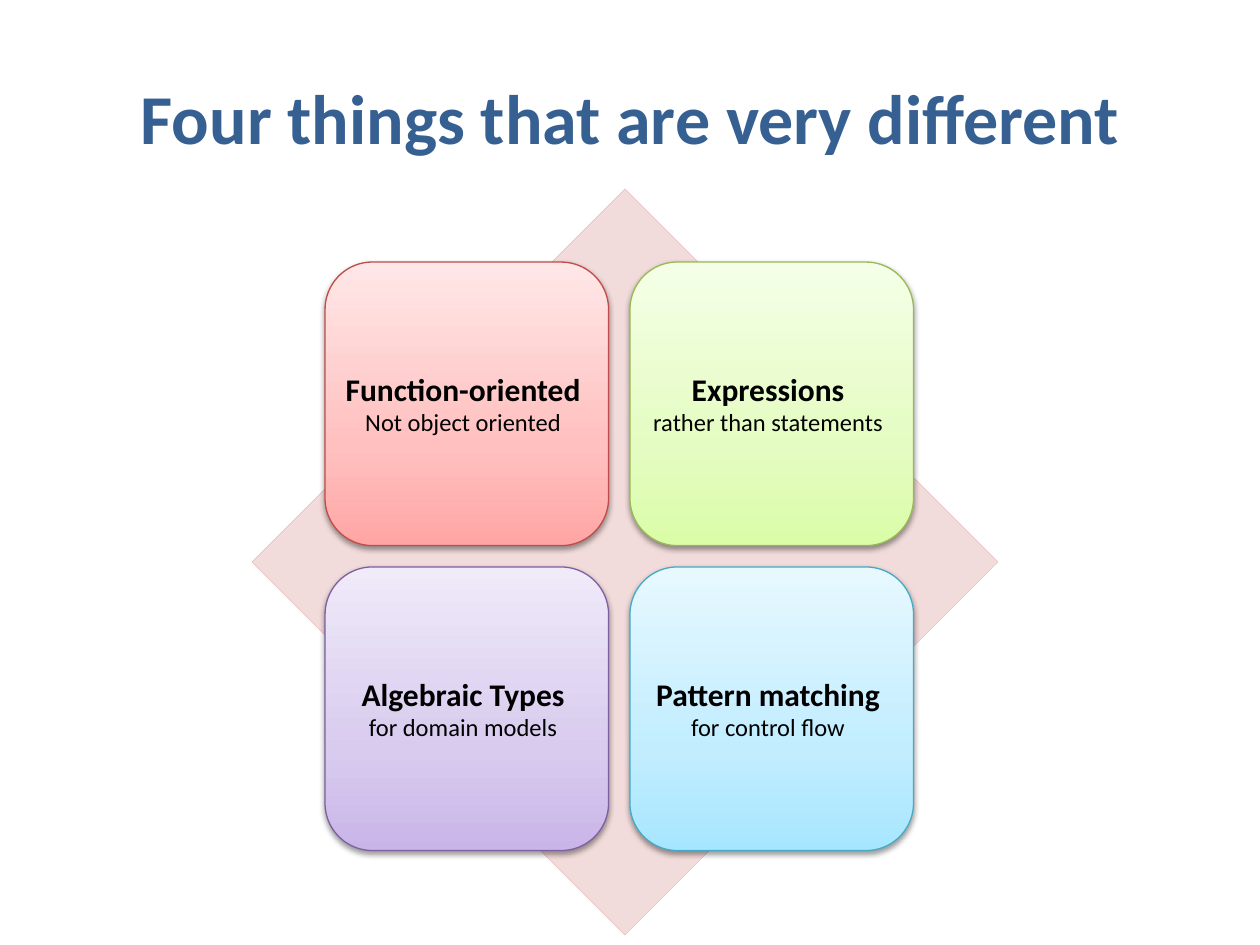
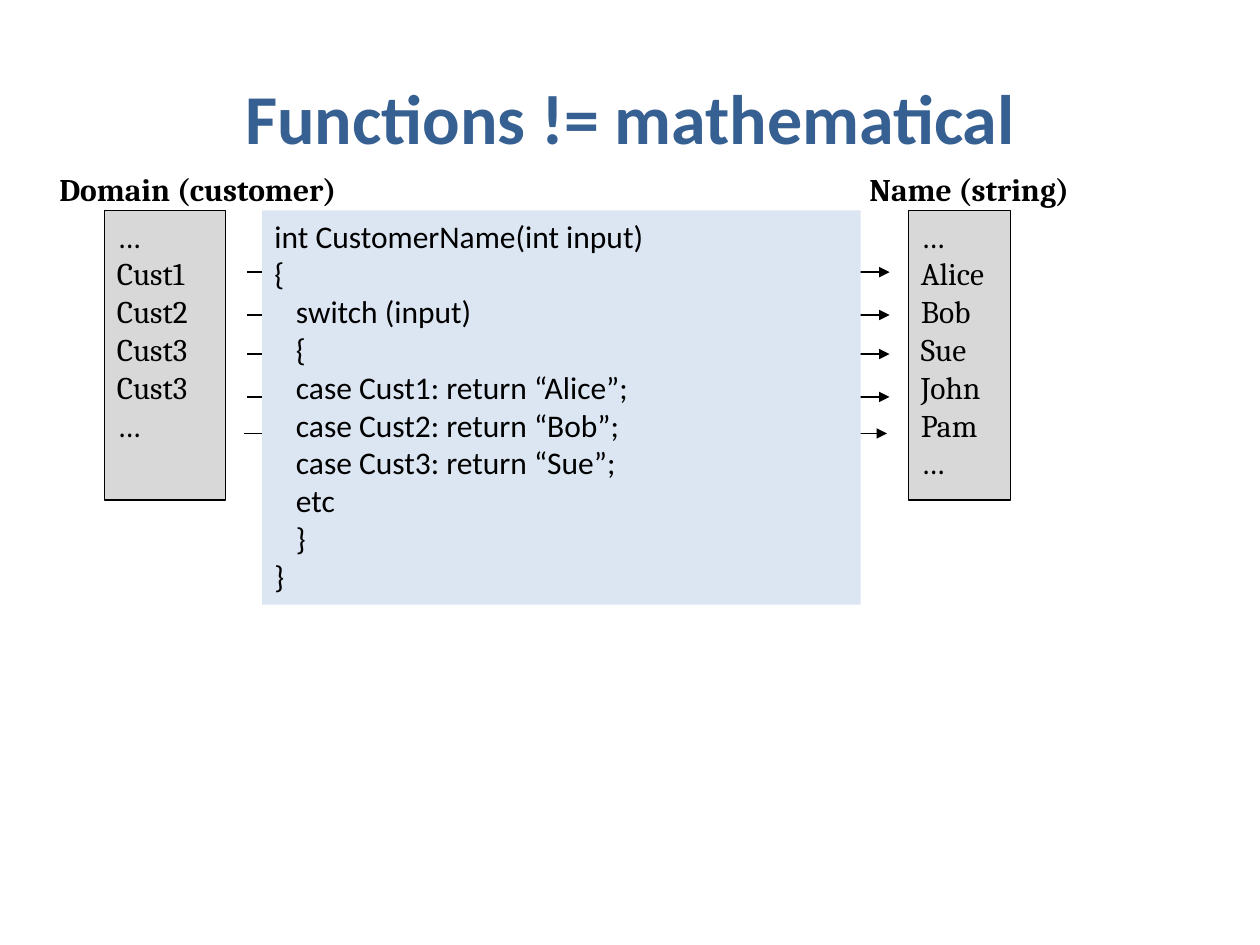
from lxml import etree
from pptx import Presentation
from pptx.dml.color import RGBColor
from pptx.enum.shapes import MSO_CONNECTOR as CONNECTOR, MSO_SHAPE as SHAPE
from pptx.enum.text import MSO_ANCHOR as ANCHOR, PP_ALIGN as ALIGN
from pptx.oxml import parse_xml
from pptx.oxml.ns import nsdecls, qn
from pptx.util import Inches, Pt

COLORS = {
    "title": "376092", "text": "000000", "outline": "000000",
    "diamond": "F2DCDB", "diamond edge": "E6B9B8",
    "set": "D8D8D8", "code": "DCE6F2",
}
BODY, SERIF = "Calibri", "Cambria"

deck = Presentation()
deck.slide_width, deck.slide_height = Inches(10), Inches(7.5)
CELL = deck.slide_width / 100  # the slide is a grid of 100 columns and 75 rows


def add_panel(slide, preset, area, fill=None, edge=None, weight=0.75):
    """Add a flat shape on the grid area (column, row, columns, rows)."""
    panel = slide.shapes.add_shape(preset, *(round(n * CELL) for n in area))
    panel.shadow.inherit = False
    if fill:
        panel.fill.solid()
        panel.fill.fore_color.rgb = RGBColor.from_string(fill)
    else:
        panel.fill.background()
    if edge:
        panel.line.color.rgb = RGBColor.from_string(edge)
        panel.line.width = Pt(weight)
    else:
        panel.line.fill.background()
    return panel


def write_lines(frame, lines, font, size=18, color="text", bold=False,
                align=ALIGN.LEFT, anchor=ANCHOR.TOP):
    """Write one paragraph per line in a single style."""
    frame.text = "\n".join(lines)
    frame.word_wrap = True
    frame.vertical_anchor = anchor
    for paragraph in frame.paragraphs:
        paragraph.alignment = align
        paragraph.font.name = font
        paragraph.font.size = Pt(size)
        paragraph.font.bold = bold
        paragraph.font.color.rgb = RGBColor.from_string(COLORS[color])


# Both slides: a bold blue title on the title-only layout
slides = []
for heading in ("Four things that are very different", "Functions != mathematical"):
    slide = deck.slides.add_slide(deck.slide_layouts[5])
    title = slide.shapes.title
    title.left, title.top, title.width, title.height = (
        round(n * CELL) for n in (5, 3, 90, 12.5))
    write_lines(title.text_frame, [heading], BODY, 40, "title", True,
                ALIGN.CENTER, ANCHOR.MIDDLE)
    slides.append(slide)
differences, mapping = slides

# Slide 1: two by two cards on a diamond
add_panel(differences, SHAPE.DIAMOND, (20, 15, 59.2, 59.2),
          COLORS["diamond"], COLORS["diamond edge"], 0.25)

CARD, STEP = 22.5, 24.2
CARDS = [  # heading, detail, edge, gradient from bottom to top
    ("Function-oriented", "Not object oriented", "BF4C48", ("FFA6A5", "FFC0BF", "FFE7E7")),
    ("Expressions", "rather than statements", "98B955", ("DAFDA7", "E4FCC2", "F5FFE7")),
    ("Algebraic Types", "for domain models", "7D60A0", ("C9B5E8", "D8CBEE", "F0EAF9")),
    ("Pattern matching", "for control flow", "46AAC5", ("A7E6FF", "C1EDFF", "E7F8FF")),
]
for index, (heading, detail, edge, shades) in enumerate(CARDS):
    row, column = divmod(index, 2)
    card = add_panel(differences, SHAPE.ROUNDED_RECTANGLE,
                     (25.8 + column * STEP, 20.8 + row * STEP, CARD, CARD), edge=edge)
    card.fill.gradient()
    card.fill.gradient_angle = 90
    stops = card._element.spPr.find(qn("a:gradFill")).find(qn("a:gsLst"))
    for stop in list(stops):
        stops.remove(stop)
    for share, shade in zip((0, 35, 100), shades):
        stop = etree.SubElement(stops, qn("a:gs"), pos=str(share * 1000))
        etree.SubElement(stop, qn("a:srgbClr"), val=shade)
    effects = card._element.spPr.find(qn("a:effectLst"))
    effects.append(parse_xml(
        f'<a:outerShdw {nsdecls("a")} blurRad="{Pt(3.1)}" dist="{Pt(1.6)}" dir="5400000" '
        'rotWithShape="0"><a:srgbClr val="000000"><a:alpha val="38000"/></a:srgbClr>'
        '</a:outerShdw>'))
    words = card.text_frame
    write_lines(words, [heading, detail], BODY, align=ALIGN.CENTER, anchor=ANCHOR.MIDDLE)
    words.margin_left = words.margin_top = Inches(0.04)
    words.paragraphs[0].font.bold = True
    words.paragraphs[1].font.size = Pt(14)

# Slide 2: domain and range sets, each with its label
SETS = [  # label, label area, members, set area
    ("Domain (customer)", (4.5, 13.3, 33, 4.3),
     ["…", "Cust1", "Cust2", "Cust3", "Cust3", "…"], (8.3, 16.7, 9.6, 23)),
    ("Name (string)", (68.8, 13.3, 25.3, 4.3),
     ["…", "Alice", "Bob", "Sue", "John", "Pam", "…"], (72.1, 16.7, 8.1, 23)),
]
for label, label_area, members, set_area in SETS:
    member_box = add_panel(mapping, SHAPE.RECTANGLE, set_area, COLORS["set"], COLORS["outline"])
    write_lines(member_box.text_frame, members, SERIF)
    caption = add_panel(mapping, SHAPE.ROUNDED_RECTANGLE, label_area)
    words = caption.text_frame
    write_lines(words, [label], SERIF, bold=True)
    words.margin_left = words.margin_top = words.margin_right = words.margin_bottom = 0

# Arrows from each customer to its name, passing behind the code
for start, row in ((19.6, 21.6), (19.6, 25), (19.6, 28.1), (19.6, 31.5), (19.4, 34.4)):
    arrow = mapping.shapes.add_connector(
        CONNECTOR.STRAIGHT, *(round(n * CELL) for n in (start, row, start + 51, row)))
    arrow.line.color.rgb = RGBColor.from_string(COLORS["outline"])
    arrow.line.width = Pt(0.75)
    properties = arrow._element.spPr
    etree.SubElement(properties.find(qn("a:ln")), qn("a:tailEnd"), type="triangle")
    etree.SubElement(properties, qn("a:effectLst"))

CODE = [  # indented?, line
    (False, "int CustomerName(int input)"),
    (False, "{"),
    (True, "switch (input)"),
    (True, "{"),
    (True, "case Cust1: return “Alice”;"),
    (True, "case Cust2: return “Bob”;"),
    (True, "case Cust3: return “Sue”;"),
    (True, "etc"),
    (True, "}"),
    (False, "}"),
]
listing = add_panel(mapping, SHAPE.RECTANGLE, (20.8, 16.7, 47.5, 31.3), COLORS["code"])
write_lines(listing.text_frame, [line for _, line in CODE], BODY)
for paragraph, (indented, _) in zip(listing.text_frame.paragraphs, CODE):
    if indented:
        paragraph._p.get_or_add_pPr().set("marL", str(Inches(0.17)))

deck.save("out.pptx")
